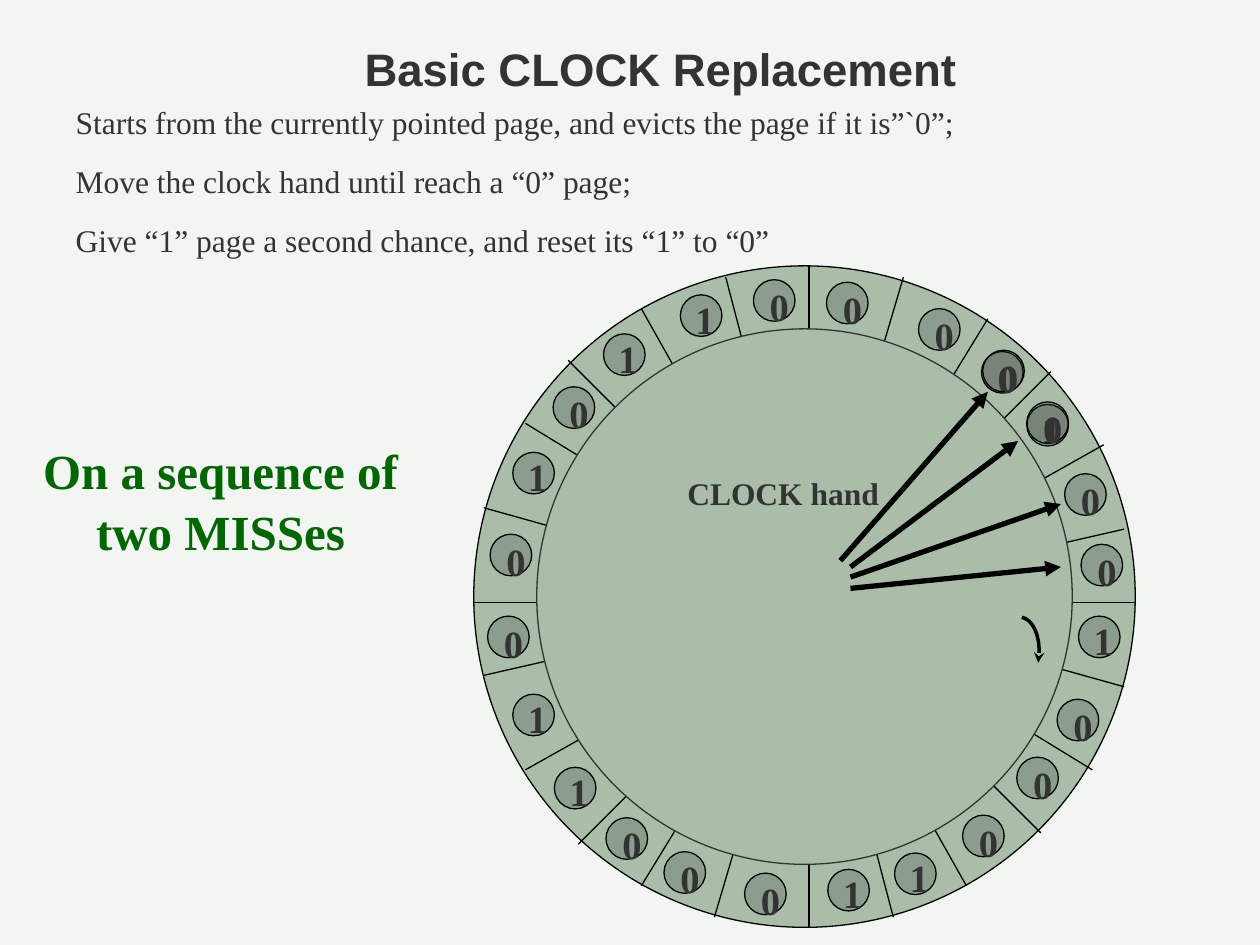
from lxml import etree
from pptx import Presentation
from pptx.dml.color import RGBColor
from pptx.enum.shapes import MSO_CONNECTOR, MSO_SHAPE
from pptx.enum.text import MSO_ANCHOR, MSO_AUTO_SIZE, PP_ALIGN
from pptx.oxml.ns import qn
from pptx.util import Inches, Pt

OVAL = MSO_SHAPE.OVAL
STRAIGHT = MSO_CONNECTOR.STRAIGHT
TOP = MSO_ANCHOR.TOP
FIXED_SIZE = MSO_AUTO_SIZE.NONE
LEFT, CENTER = PP_ALIGN.LEFT, PP_ALIGN.CENTER

# The slide is a grid of 10 columns and 7.5 rows of one inch.
COLUMNS, ROWS = 10, 7.5
BACKGROUND, RING, INK, BLACK, GREEN = "F3F5F3", "A9BDA9", "333333", "000000", "006600"
SERIF, SANS = "Times New Roman", "Arial"
BADGE_SIZE, BADGE_OPACITY = 0.33, 23

RULES = [
    "Starts from the currently pointed page, and evicts the page if it is”`0”;",
    "Move the clock hand until reach a “0” page;",
    "Give “1” page a second chance, and reset its “1” to “0”",
]

# Chords across the ring: start column, start row, end column, end row.
SPOKES = [
    (6.42, 2.11, 6.42, 7.36), (3.76, 4.78, 9.01, 4.78),
    (4.51, 2.86, 8.26, 6.61), (4.59, 6.7, 8.34, 2.95),
    (5.76, 2.2, 7.09, 7.28), (5.09, 2.45, 7.67, 7.03),
    (4.17, 3.36, 8.67, 6.11), (3.84, 4.03, 8.92, 5.45),
    (3.84, 5.36, 8.92, 4.2), (4.17, 6.11, 8.76, 3.53),
    (5.09, 7.03, 7.84, 2.53), (5.67, 7.28, 7.17, 2.2),
]

HANDS = [
    (6.67, 4.45, 7.84, 3.11), (6.75, 4.5, 8.08, 3.5),
    (6.75, 4.58, 8.42, 4), (6.75, 4.67, 8.42, 4.5),
]

# Reference bits: digit, column, row. The last ones lie over changed bits.
PAGES = [
    ("0", 8.58, 4.32), ("1", 8.56, 4.89), ("0", 8.45, 3.76), ("0", 8.07, 6.01),
    ("0", 8.39, 5.55), ("0", 7.64, 6.47), ("1", 7.1, 6.77), ("1", 6.57, 6.9),
    ("0", 5.91, 6.93), ("0", 5.27, 6.76), ("0", 4.81, 6.49), ("1", 4.4, 6.09),
    ("1", 4.07, 5.51), ("0", 3.87, 4.89), ("0", 3.89, 4.24), ("1", 4.07, 3.59),
    ("0", 4.39, 3.07), ("1", 4.79, 2.65), ("1", 5.4, 2.34), ("0", 5.98, 2.22),
    ("0", 6.56, 2.24), ("0", 7.29, 2.45), ("1", 8.15, 3.21), ("0", 7.79, 2.79),
    ("0", 7.8, 2.78), ("0", 8.15, 3.19),
]
LABEL_OFFSET = {"0": (-0.13, -0.04), "1": (-0.14, -0.06)}

# Bezier points of the arrow that shows the turning direction.
TURN = [(8.11, 4.9), (8.21, 4.92), (8.27, 5.08), (8.24, 5.26)]
TURN_STEPS = 12


def color(value):
    return RGBColor.from_string(value)


def grid(*spans):
    return [Inches(span) for span in spans]


def set_line(shape, value, width, arrowhead=None):
    shape.line.color.rgb = color(value)
    shape.line.width = Pt(width)
    if arrowhead:
        outline = shape.line._get_or_add_ln()
        etree.SubElement(outline, qn("a:tailEnd"), type=arrowhead)


def write(box, lines, size, font=SERIF, ink=INK, bold=True, align=CENTER):
    frame = box.text_frame
    frame.word_wrap = True
    frame.auto_size = FIXED_SIZE
    frame.vertical_anchor = TOP
    frame.text = "\n".join(lines)
    for index, para in enumerate(frame.paragraphs):
        para.alignment = align
        para.line_spacing = 1.05
        para.space_before = Pt(11.25 if index else 0)
        para.font.name = font
        para.font.size = Pt(size)
        para.font.bold = bold
        para.font.color.rgb = color(ink)


def fill_placeholder(box, place, lines, size, **style):
    box.left, box.top, box.width, box.height = grid(*place)
    for para_number, line in enumerate(lines):
        if para_number:
            box.text_frame.add_paragraph()
    write(box, lines, size, **style)


def remove_bullets(box):
    for para in box.text_frame.paragraphs:
        properties = para._p.get_or_add_pPr()
        properties.set("marL", "0")
        properties.set("indent", "0")
        bullet = etree.Element(qn("a:buNone"))
        properties.find(qn("a:spcBef")).addnext(bullet)


def add_label(shapes, place, text, size, **style):
    write(shapes.add_textbox(*grid(*place)), [text], size, **style)


def add_circle(shapes, column, row, size, fill, line, opacity=100):
    circle = shapes.add_shape(OVAL, *grid(column, row, size, size))
    circle.shadow.inherit = False
    circle.fill.solid()
    circle.fill.fore_color.rgb = color(fill)
    if opacity < 100:
        tint = circle._element.spPr.find(".//" + qn("a:srgbClr"))
        etree.SubElement(tint, qn("a:alpha"), val=str(opacity * 1000))
    set_line(circle, line, 0.75)


def add_line(shapes, ends, width, arrowhead=None):
    line = shapes.add_connector(STRAIGHT, *grid(*ends))
    set_line(line, BLACK, width, arrowhead)
    etree.SubElement(line._element.spPr, qn("a:effectLst"))


def add_page(shapes, digit, column, row):
    """Add a page's reference bit, grouped with its circle."""
    group = shapes.add_group_shape()
    add_circle(group.shapes, column, row, BADGE_SIZE, INK, BLACK, BADGE_OPACITY)
    shift, drop = LABEL_OFFSET[digit]
    add_label(group.shapes, (column + shift, row + drop, 0.67, 0.47), digit, 22)


def bezier_point(points, share):
    weights = [(1 - share) ** 3, 3 * share * (1 - share) ** 2,
               3 * share ** 2 * (1 - share), share ** 3]
    return grid(*(sum(weight * value for weight, value in zip(weights, axis))
                  for axis in zip(*points)))


def add_turn_arrow(shapes):
    curve = [bezier_point(TURN, step / TURN_STEPS) for step in range(TURN_STEPS + 1)]
    builder = shapes.build_freeform(*curve[0])
    builder.add_line_segments(curve[1:], close=False)
    arrow = builder.convert_to_shape()
    arrow.shadow.inherit = False
    arrow.fill.background()
    set_line(arrow, BLACK, 2, "stealth")


def main():
    deck = Presentation()
    deck.slide_width, deck.slide_height = grid(COLUMNS, ROWS)
    slide = deck.slides.add_slide(deck.slide_layouts[1])
    slide.background.fill.solid()
    slide.background.fill.fore_color.rgb = color(BACKGROUND)
    shapes = slide.shapes

    fill_placeholder(shapes.title, (0.83, 0.25, 8.83, 0.54),
                     ["Basic CLOCK Replacement"], 26, font=SANS)
    body = slide.placeholders[1]
    fill_placeholder(body, (0.5, 0.75, 8.92, 1.32), RULES, 18, bold=False, align=LEFT)
    remove_bullets(body)

    add_circle(shapes, 3.76, 2.11, 5.25, RING, BLACK)
    for spoke in SPOKES:
        add_line(shapes, spoke, 0.75)
    add_circle(shapes, 4.26, 2.61, 4.25, RING, INK)

    add_label(shapes, (5.34, 3.7, 1.75, 0.4), "CLOCK hand", 18)
    add_label(shapes, (0, 3.42, 3.5, 1.04), "On a sequence of two MISSes", 28, ink=GREEN)
    add_turn_arrow(shapes)
    for page in PAGES:
        add_page(shapes, *page)
    for hand in HANDS:
        add_line(shapes, hand, 3, "triangle")

    deck.save("out.pptx")


if __name__ == "__main__":
    main()
